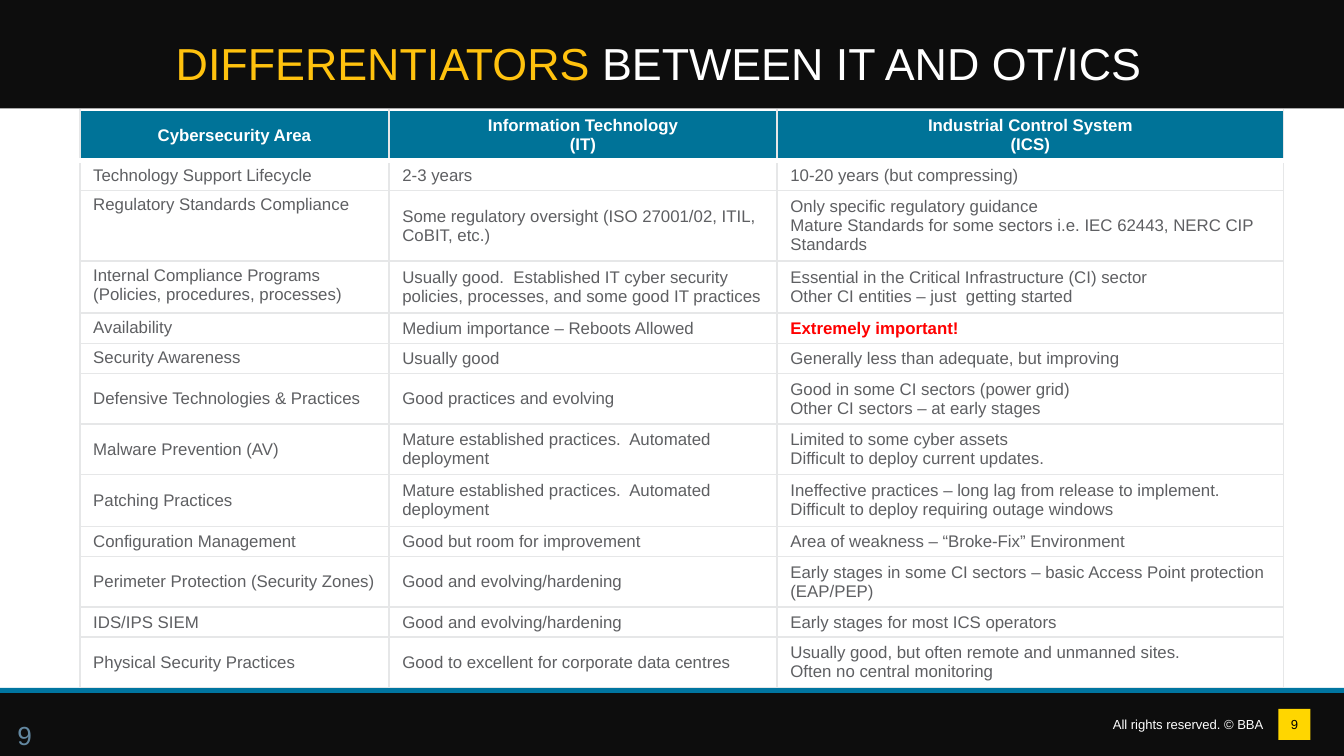
from dataclasses import dataclass

from lxml.etree import SubElement
from pptx import Presentation
from pptx.dml.color import RGBColor
from pptx.enum.shapes import MSO_SHAPE
from pptx.enum.text import MSO_ANCHOR, MSO_AUTO_SIZE, PP_ALIGN
from pptx.oxml.ns import qn
from pptx.util import Pt

PX = 5715
WIDTH, HEIGHT = 1600, 900


@dataclass(frozen=True)
class Theme:
    """Colours, font and type sizes of the deck."""
    font: str = "Arial"
    black: str = "0D0D0D"
    white: str = "FFFFFF"
    ink: str = "000000"
    gold: str = "FFC20E"
    yellow: str = "FFD600"
    rule: str = "0075A0"
    header: str = "007398"
    body: str = "5E5F62"
    alert: str = "FF0000"
    grid: str = "E6E7E8"
    number: str = "6388A1"
    title_size: int = 24
    number_size: int = 14
    body_size: int = 9
    small_size: int = 7


T = Theme()

COLUMNS = [368, 462, 603]
HEADINGS = ["Cybersecurity Area", "Information Technology\n(IT)", "Industrial Control System\n(ICS)"]
HEADER_HEIGHT = 60
ROWS = [
    (36, "Technology Support Lifecycle", "2-3 years", "10-20 years (but compressing)"),
    (84, "Regulatory Standards Compliance",
     "Some regulatory oversight (ISO 27001/02, ITIL, CoBIT, etc.)",
     "Only specific regulatory guidance\n"
     "Mature Standards for some sectors i.e. IEC 62443, NERC CIP Standards"),
    (62, "Internal Compliance Programs (Policies, procedures, processes)",
     "Usually good.  Established IT cyber security policies, processes, and some good IT practices",
     "Essential in the Critical Infrastructure (CI) sector\n"
     "Other CI entities – just  getting started"),
    (36, "Availability", "Medium importance – Reboots Allowed", "Extremely important!"),
    (36, "Security Awareness", "Usually good", "Generally less than adequate, but improving"),
    (60, "Defensive Technologies & Practices", "Good practices and evolving",
     "Good in some CI sectors (power grid)\nOther CI sectors – at early stages"),
    (60, "Malware Prevention (AV)", "Mature established practices.  Automated deployment",
     "Limited to some cyber assets\nDifficult to deploy current updates."),
    (62, "Patching Practices", "Mature established practices.  Automated deployment",
     "Ineffective practices – long lag from release to implement. "
     "Difficult to deploy requiring outage windows"),
    (36, "Configuration Management", "Good but room for improvement",
     "Area of weakness – “Broke-Fix” Environment"),
    (60, "Perimeter Protection (Security Zones)", "Good and evolving/hardening",
     "Early stages in some CI sectors – basic Access Point protection (EAP/PEP)"),
    (36, "IDS/IPS SIEM", "Good and evolving/hardening", "Early stages for most ICS operators"),
    (60, "Physical Security Practices", "Good to excellent for corporate data centres",
     "Usually good, but often remote and unmanned sites.\nOften no central monitoring"),
]
TOP_ALIGNED_ROWS = range(2, 6)
ALERT_CELL = (4, 2)


def rgb(color):
    """Turn a hex string into a colour."""
    return RGBColor.from_string(color)


def emu(*lengths):
    """Turn px lengths into EMU."""
    return [n * PX for n in lengths]


def write(tf, text, size=T.body_size, color=T.body, bold=False, align=PP_ALIGN.LEFT,
          lead="", lead_color=T.gold):
    """Write one paragraph per line, with an optional coloured lead on the first."""
    for i, line in enumerate(text.split("\n")):
        p = tf.add_paragraph() if i else tf.paragraphs[0]
        p.alignment = align
        runs = [(line, color)]
        if lead and i == 0:
            runs.insert(0, (lead, lead_color))
        for words, tint in runs:
            r = p.add_run()
            r.text = words
            r.font.name, r.font.size, r.font.bold = T.font, Pt(size), bold
            r.font.color.rgb = rgb(tint)


def set_frame(tf, margin=0, anchor=MSO_ANCHOR.MIDDLE, wrap=True):
    """Set the wrapping, anchor and inner margins of a text frame."""
    tf.word_wrap, tf.auto_size, tf.vertical_anchor = wrap, MSO_AUTO_SIZE.NONE, anchor
    tf.margin_left = tf.margin_right = margin * 2 * PX
    tf.margin_top = tf.margin_bottom = margin * PX


def add_rect(s, box, color):
    """Add a plain filled rectangle."""
    sp = s.shapes.add_shape(MSO_SHAPE.RECTANGLE, *emu(*box))
    sp.shadow.inherit = False
    sp.fill.solid()
    sp.fill.fore_color.rgb = rgb(color)
    sp.line.fill.background()
    return sp


def add_label(s, box, text, margin=0, anchor=MSO_ANCHOR.MIDDLE, wrap=True, **fmt):
    """Add a text box."""
    tf = s.shapes.add_textbox(*emu(*box)).text_frame
    set_frame(tf, margin, anchor, wrap)
    write(tf, text, **fmt)


def set_border(cell, side, color, width):
    """Draw one side of a cell."""
    ln = SubElement(cell._tc.get_or_add_tcPr(), qn(f"a:ln{side}"), w=str(Pt(width)))
    SubElement(SubElement(ln, qn("a:solidFill")), qn("a:srgbClr"), val=color)


def add_title(s, box):
    """Place the title on its dark band."""
    x, y, w, h = box
    add_rect(s, box, T.black)
    title = s.shapes.title
    title.left, title.top, title.width, title.height = emu(x + 67, y + 50, w - 166, 50)
    set_frame(title.text_frame)
    write(title.text_frame, " BETWEEN IT AND OT/ICS", size=T.title_size, color=T.white,
          align=PP_ALIGN.CENTER, lead="DIFFERENTIATORS")
    title.element.getparent().append(title.element)


def add_footer(s, box):
    """Place the footer band with its rule, rights line and page numbers."""
    x, y, w, h = box
    add_rect(s, box, T.black)
    add_label(s, (x + 1107, y + 21, 397, 37), "All rights reserved. © BBA",
              size=T.small_size, color=T.white, align=PP_ALIGN.RIGHT)
    badge = add_rect(s, (x + 1522, y + 21, 38, 37), T.yellow)
    set_frame(badge.text_frame)
    write(badge.text_frame, "9", size=T.small_size, color=T.ink, align=PP_ALIGN.CENTER)
    add_rect(s, (x, y - 4, w, 6), T.rule)
    add_label(s, (x + 5, y + 26, 102, 34), "9", margin=8, anchor=MSO_ANCHOR.TOP,
              size=T.number_size, color=T.number)


def fill_cell(cell, row, col, text):
    """Format one table cell by its row and column."""
    header = row == 0
    cell.margin_left = cell.margin_right = 16 * PX
    cell.margin_top = cell.margin_bottom = 6 * PX
    top = col == 0 and row in TOP_ALIGNED_ROWS
    cell.vertical_anchor = MSO_ANCHOR.TOP if top else MSO_ANCHOR.MIDDLE
    alert = (row, col) == ALERT_CELL
    color = T.white if header else T.alert if alert else T.body
    write(cell.text_frame, text, color=color, bold=header or alert,
          align=PP_ALIGN.CENTER if header else PP_ALIGN.LEFT)
    for side in "LR":
        set_border(cell, side, T.grid, 1)
    set_border(cell, "T", T.white if row < 2 else T.grid, 3 if row == 1 else 1)
    set_border(cell, "B", T.white if header else T.grid, 3 if header else 1)
    cell.fill.solid()
    cell.fill.fore_color.rgb = rgb(T.header if header else T.white)


def add_comparison(s, box):
    """Place the comparison table."""
    rows = [(HEADER_HEIGHT, *HEADINGS), *ROWS]
    table = s.shapes.add_table(len(rows), len(COLUMNS), *emu(*box)).table
    table.horz_banding = False
    for column, width in zip(table.columns, COLUMNS):
        column.width = width * PX
    for i, (height, *texts) in enumerate(rows):
        table.rows[i].height = height * PX
        for j, text in enumerate(texts):
            fill_cell(table.cell(i, j), i, j, text)


def main():
    """Build the slide and save it."""
    prs = Presentation()
    prs.slide_width, prs.slide_height = emu(WIDTH, HEIGHT)
    s = prs.slides.add_slide(prs.slide_layouts[5])
    add_footer(s, (0, 823, WIDTH, HEIGHT - 823))
    add_title(s, (0, 0, WIDTH, 129))
    add_comparison(s, (95, 131, sum(COLUMNS), HEADER_HEIGHT + sum(row[0] for row in ROWS)))
    prs.save("out.pptx")


if __name__ == "__main__":
    main()
